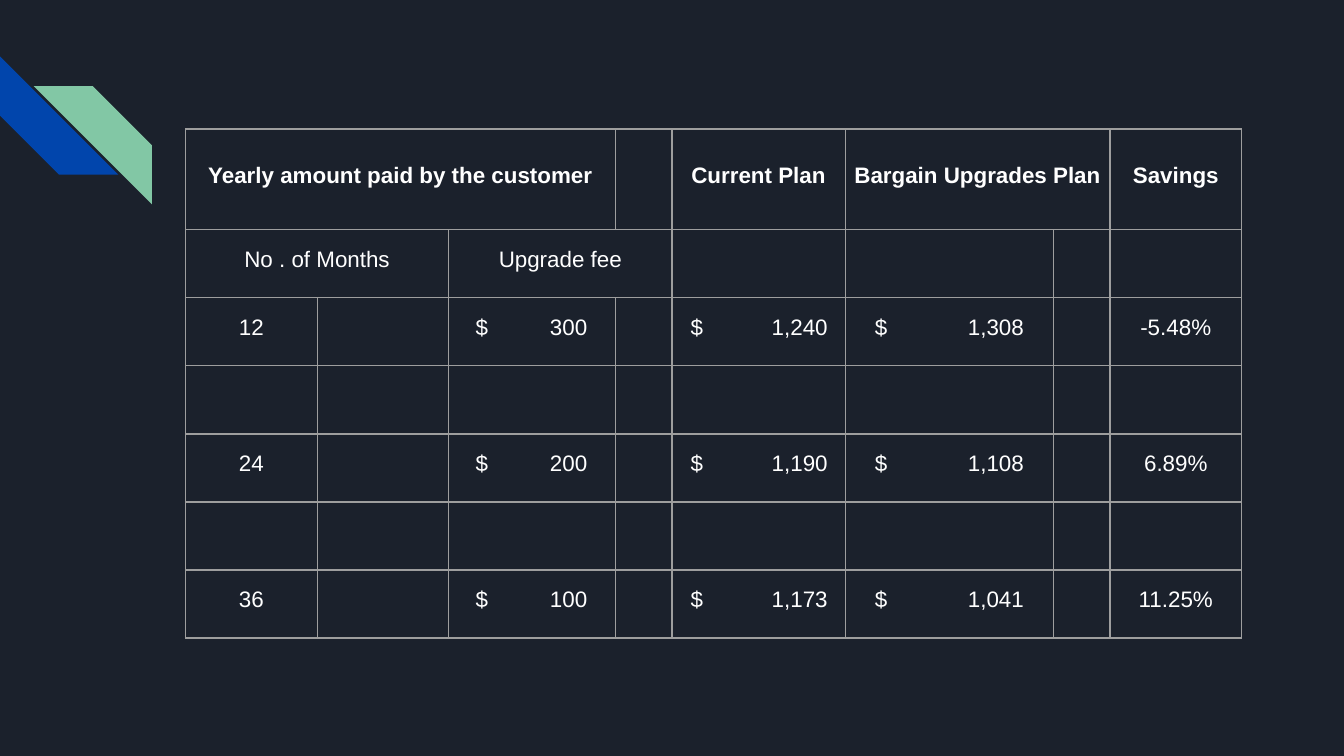
from lxml import etree
from pptx import Presentation
from pptx.dml.color import RGBColor
from pptx.enum import shapes, text
from pptx.oxml.ns import qn
from pptx.util import Inches, Pt

COLORS = {"bg": "1B212C", "blue": "0145AC", "green": "82C7A5",
          "border": "9E9E9E", "text": "FFFFFF"}
COL_WIDTHS = [0.98, 0.98, 1.24, 0.42, 1.29, 1.55, 0.42, 0.98]
ROW_HEIGHTS = [0.75] + [3.04 / 6] * 6
ROWS = [
    ["Yearly amount paid by the customer", "", "", "", "Current Plan",
     "Bargain Upgrades Plan", "", "Savings"],
    ["No . of Months", "", "Upgrade fee", "", "", "", "", ""],
    ["12", "", "$\t300", "", "$\t1,240", "$\t1,308", "", "-5.48%"],
    [""] * 8,
    ["24", "", "$\t200", "", "$\t1,190", "$\t1,108", "", "6.89%"],
    [""] * 8,
    ["36", "", "$\t100", "", "$\t1,173", "$\t1,041", "", "11.25%"],
]
MERGES = [(0, 0, 2), (0, 5, 6), (1, 0, 1), (1, 2, 3)]  # row, first, last column
# column: left inset of the dollar sign, right tab stop of the amount
AMOUNTS = {2: (0.2, 0.83), 4: (0.14, 1.02), 5: (0.22, 1.11)}


def add_borders(cell):
    tcPr = cell._tc.get_or_add_tcPr()
    for side in ("a:lnL", "a:lnR", "a:lnT", "a:lnB"):
        ln = etree.SubElement(tcPr, qn(side), w=str(Pt(0.75)))
        fill = etree.SubElement(ln, qn("a:solidFill"))
        etree.SubElement(fill, qn("a:srgbClr"), val=COLORS["border"])


def add_right_tab(p, position):
    tabs = etree.SubElement(p._p.get_or_add_pPr(), qn("a:tabLst"))
    etree.SubElement(tabs, qn("a:tab"), pos=str(Inches(position)), algn="r")


prs = Presentation()
prs.slide_width = Inches(10)
prs.slide_height = Inches(10 * 9 / 16)
s = prs.slides.add_slide(prs.slide_layouts[6])
s.background.fill.solid()
s.background.fill.fore_color.rgb = RGBColor.from_string(COLORS["bg"])

# Corner stripes
for left, top, rotation, color in [(0, 0.42, 270, "blue"), (0.25, 0.64, 90, "green")]:
    sp = s.shapes.add_shape(shapes.MSO_SHAPE.DIAGONAL_STRIPE, Inches(left),
                            Inches(top), Inches(0.88), Inches(0.88))
    sp.adjustments[0] = 0.5
    sp.rotation = rotation
    sp.shadow.inherit = False
    sp.fill.solid()
    sp.fill.fore_color.rgb = RGBColor.from_string(COLORS[color])
    sp.line.fill.background()

# Savings table
table = s.shapes.add_table(len(ROWS), len(COL_WIDTHS), Inches(1.38), Inches(0.96),
                           Inches(sum(COL_WIDTHS)), Inches(sum(ROW_HEIGHTS))).table
table.first_row = table.horz_banding = False
for column, width in zip(table.columns, COL_WIDTHS):
    column.width = Inches(width)
for row, height in zip(table.rows, ROW_HEIGHTS):
    row.height = Inches(height)
for row, first, last in MERGES:
    table.cell(row, first).merge(table.cell(row, last))

for i, row in enumerate(ROWS):
    for j, value in enumerate(row):
        cell = table.cell(i, j)
        add_borders(cell)
        cell.fill.background()
        if not value:
            continue
        cell.vertical_anchor = text.MSO_ANCHOR.MIDDLE
        cell.margin_left = cell.margin_right = cell.margin_top = Inches(0.01)
        cell.margin_bottom = Inches(0.1)
        p = cell.text_frame.paragraphs[0]
        p.line_spacing = 1.15
        p.alignment = text.PP_ALIGN.CENTER
        if "\t" in value:
            inset, tab = AMOUNTS[j]
            cell.margin_left = Inches(inset)
            p.alignment = text.PP_ALIGN.LEFT
            add_right_tab(p, tab)
        p.add_run().text = value
        p.font.name = "Arial"
        p.font.size = Pt(12)
        p.font.bold = i == 0
        p.font.color.rgb = RGBColor.from_string(COLORS["text"])

prs.save("out.pptx")
